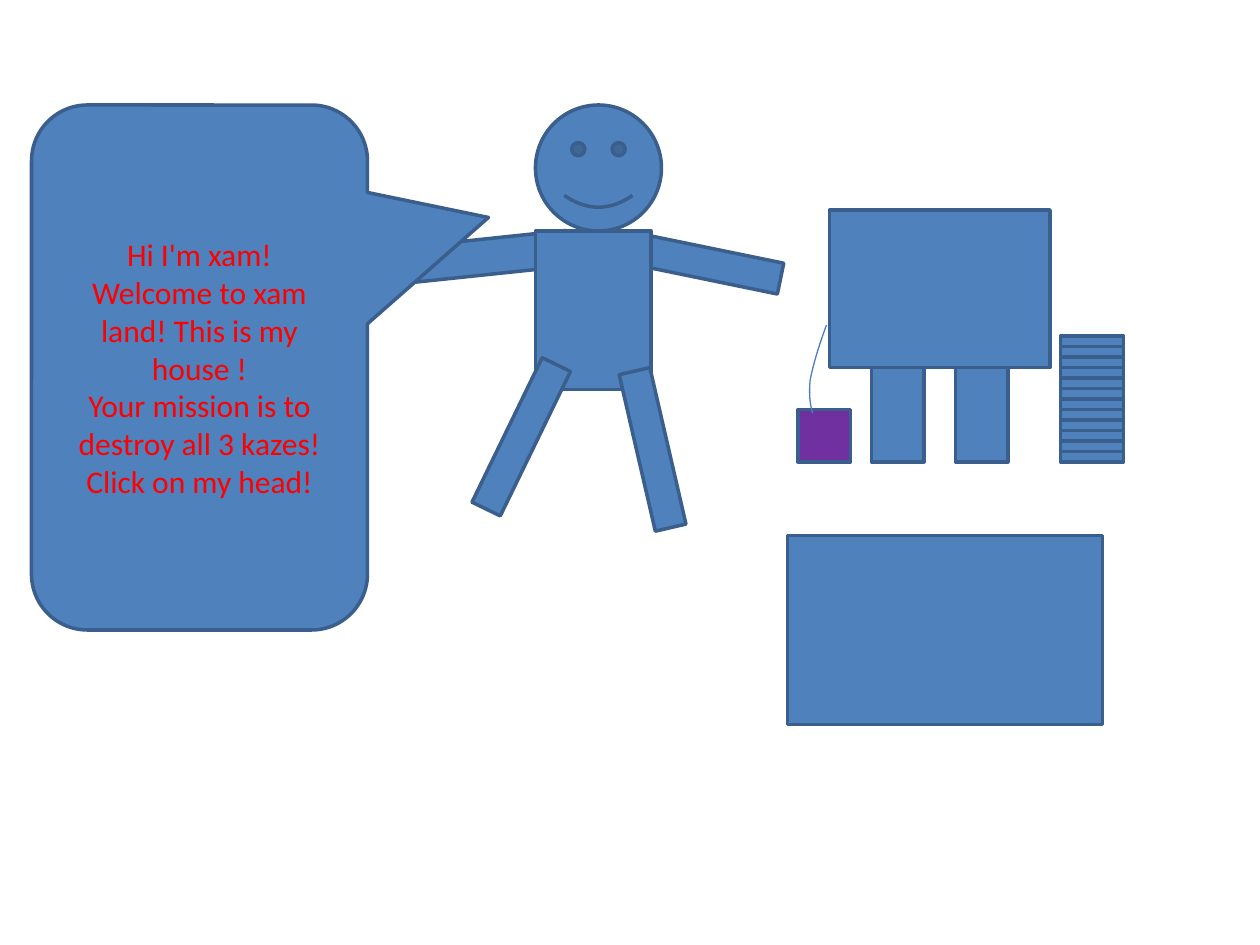
from pptx import Presentation, util as u
from pptx.dml.color import RGBColor
from pptx.enum import shapes as s, text as t

CELL = u.Inches(1) // 12  # grid: 120 columns by 90 rows
KIND = s.MSO_SHAPE
BLUE, EDGE, WIRE = "4F81BD", "3A5F8C", "4B7EBC"
PURPLE, RED = "7030A0", "FF0000"


def paint(part, color):
    """Give a fill or a font a solid colour; None leaves a fill empty."""
    if color is None:
        part.background()
        return
    if hasattr(part, "solid"):
        part.solid()
    target = part.fore_color if hasattr(part, "fore_color") else part.color
    target.rgb = RGBColor.from_string(color)


def dress(shape, fill, edge, width):
    shape.shadow.inherit = False
    paint(shape.fill, fill)
    paint(shape.line.fill, edge)
    shape.line.width = u.Pt(width)


def block(home, col, row, cols, rows, turn=0, kind=KIND.RECTANGLE, fill=BLUE):
    """Add a shape placed in grid columns and rows."""
    place = [round(n * CELL) for n in (col, row, cols, rows)]
    shape = home.add_shape(kind, *place)
    shape.rotation = turn
    dress(shape, fill, EDGE, 2)
    return shape


def bubble(home, lines):
    shape = block(home, 3, 10, 32, 50, kind=KIND.ROUNDED_RECTANGULAR_CALLOUT)
    for i, value in enumerate((0.86, -2 / 7, 1 / 6)):
        shape.adjustments[i] = value
    frame = shape.text_frame
    frame.word_wrap = True
    frame.vertical_anchor = t.MSO_ANCHOR.MIDDLE
    for i, line in enumerate(lines):
        para = frame.paragraphs[0] if i == 0 else frame.add_paragraph()
        para.text = line
        para.alignment = t.PP_ALIGN.CENTER
        para.font.name = "Calibri"
        para.font.size = u.Pt(18)
        paint(para.font, RED)


def curve(home, *arcs, steps=10):
    """Draw joined cubic arcs, given as four points each in inches."""
    dots = []
    for a, b, c, d in arcs:
        for i in range(steps + 1):
            k = i / steps
            j = 1 - k
            dots.append([
                u.Inches(j**3 * a[n] + 3 * j * j * k * b[n]
                         + 3 * j * k * k * c[n] + k**3 * d[n])
                for n in (0, 1)
            ])
    pen = home.build_freeform(*dots[0])
    pen.add_line_segments(dots[1:], close=False)
    dress(pen.convert_to_shape(), None, WIRE, 0.75)


def main():
    deck = Presentation()
    deck.slide_width, deck.slide_height = 120 * CELL, 90 * CELL
    home = deck.slides.add_slide(deck.slide_layouts[6]).shapes

    # Stick man: head, arms, torso, legs
    man = home.add_group_shape().shapes
    block(man, 51, 10, 12, 12, kind=KIND.SMILEY_FACE)
    block(man, 59.2, 23.5, 15.3, 3, 11.6)
    block(man, 37.8, 22.8, 16.3, 3.4, 354)
    block(man, 51, 22, 11, 15.1)
    block(man, 42, 40.1, 15.3, 3, 295.9)
    block(man, 54.5, 41.3, 15.3, 3, 77)

    # House on two posts
    house = home.add_group_shape().shapes
    for col in (83, 91):
        block(house, col, 35, 5, 9)
    block(house, 79, 20, 21, 15)

    # Speech
    bubble(home, (
        "Hi I'm xam!",
        "Welcome to xam land! This is my house !",
        "Your mission is to destroy all 3 kazes!",
        "Click on my head!",
    ))

    # Stack of slats
    stack = home.add_group_shape().shapes
    for i in range(12):
        block(stack, 101, 32 + i, 6, 1)

    # Ground, and the box hanging on its string
    block(home, 75, 51, 30, 18)
    block(home, 76, 39, 5, 5, fill=PURPLE)
    curve(
        home,
        ((6.56, 2.58), (6.5, 2.74), (6.45, 2.91), (6.43, 3.02)),
        ((6.43, 3.02), (6.42, 3.14), (6.43, 3.21), (6.45, 3.28)),
    )

    deck.save("out.pptx")


if __name__ == "__main__":
    main()
